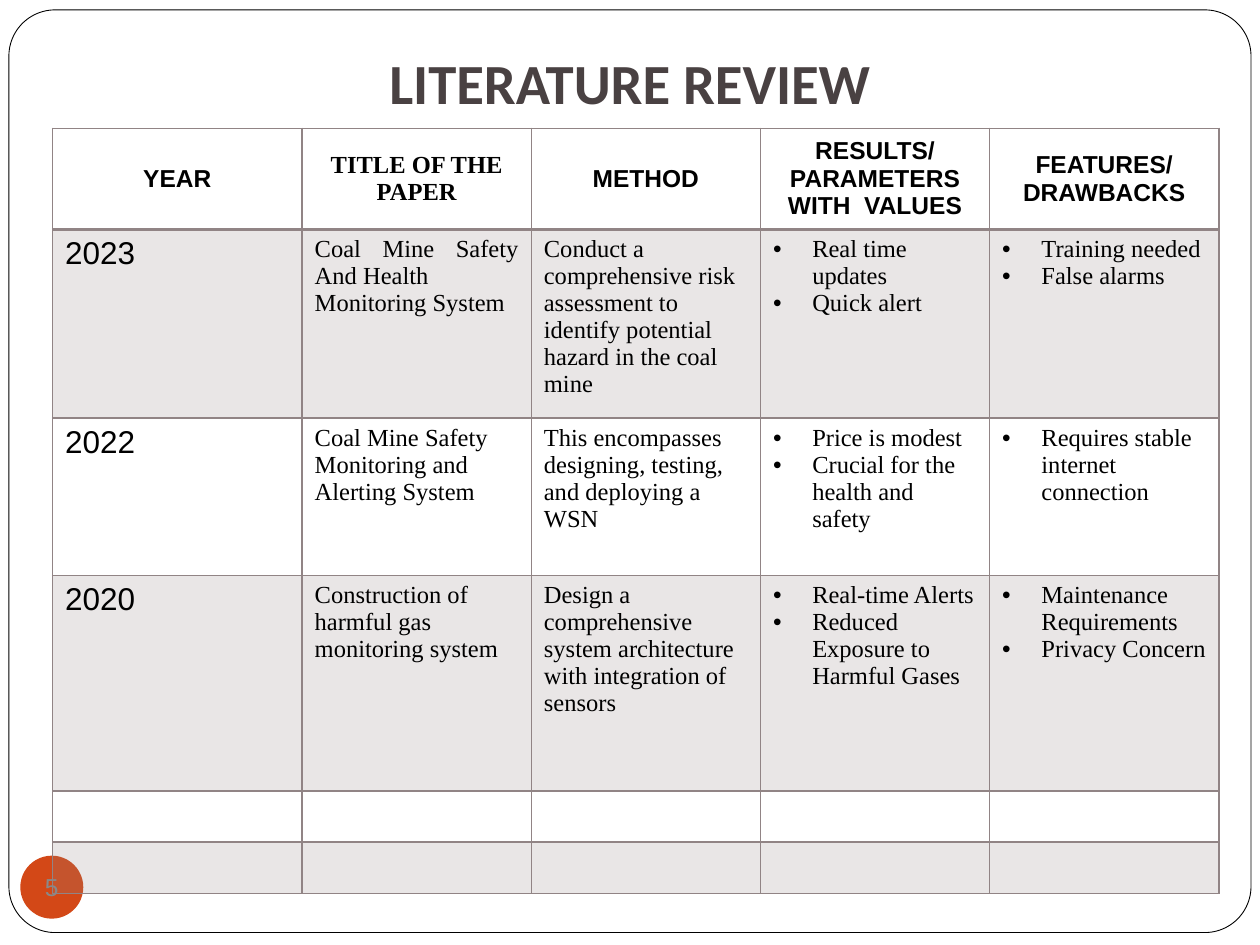
"""Build the literature review slide with its table of papers."""
from lxml import etree
from pptx import Presentation
from pptx import util as u
from pptx.dml.color import RGBColor
from pptx.enum import shapes, text
from pptx.oxml import ns

COLORS = {"white": "FFFFFF", "black": "000000", "title": "494142",
          "badge": "D34817", "number": "898989", "grid": "918485"}
ALIGN = text.PP_ALIGN
SERIF = "Times New Roman"


def write(paragraph, words, color, align=ALIGN.LEFT, **font_values):
    paragraph.alignment = align
    run = paragraph.add_run()
    run.text = words
    for name, value in font_values.items():
        setattr(run.font, name, value)
    run.font.color.rgb = RGBColor.from_string(COLORS[color])


def add_xml(parent, tag, **attributes):
    return etree.SubElement(parent, ns.qn(tag), attributes)


prs = Presentation()
prs.slide_width, prs.slide_height = u.Cm(25.4), u.Cm(19.05)
slide = prs.slides.add_slide(prs.slide_layouts[5])

frame = slide.shapes.add_shape(shapes.MSO_SHAPE.ROUNDED_RECTANGLE,
                               u.Cm(0.18), u.Cm(0.2), u.Cm(25.04), u.Cm(18.6))
frame.adjustments[0] = 0.05
frame.shadow.inherit = False
frame.fill.solid()
frame.fill.fore_color.rgb = RGBColor.from_string(COLORS["white"])
frame.line.color.rgb = RGBColor.from_string(COLORS["black"])
frame.line.width = u.Pt(0.5)

title = slide.shapes.title
title.element.addprevious(frame.element)
title_place = {"left": u.Cm(1.27), "top": u.Cm(0.76), "width": u.Cm(22.86), "height": u.Cm(1.83)}
for name, value in title_place.items():
    setattr(title, name, value)
title_format = {"vertical_anchor": text.MSO_ANCHOR.BOTTOM, "margin_bottom": u.Cm(0.25),
                "auto_size": text.MSO_AUTO_SIZE.NONE, "word_wrap": True}
for name, value in title_format.items():
    setattr(title.text_frame, name, value)
write(title.text_frame.paragraphs[0], "LITERATURE REVIEW", "title", ALIGN.CENTER,
      name="Calibri", size=u.Pt(32.4), bold=True)

badge = slide.shapes.add_shape(shapes.MSO_SHAPE.OVAL,
                               u.Cm(0.41), u.Cm(17.25), u.Cm(1.27), u.Cm(1.27))
badge.shadow.inherit = False
badge.fill.solid()
badge.fill.fore_color.rgb = RGBColor.from_string(COLORS["badge"])
badge.line.fill.background()
badge_format = {"margin_left": 0, "margin_top": 0, "margin_right": 0, "margin_bottom": 0,
                "vertical_anchor": text.MSO_ANCHOR.MIDDLE, "word_wrap": False}
for name, value in badge_format.items():
    setattr(badge.text_frame, name, value)
write(badge.text_frame.paragraphs[0], "5", "number", ALIGN.CENTER, name="Arial", size=u.Pt(14))

headings = ["YEAR", "TITLE OF THE PAPER", "METHOD",
            "RESULTS/ PARAMETERS WITH  VALUES", "FEATURES/ DRAWBACKS"]
papers = [
    [["2023"], ["Coal Mine Safety And Health", "Monitoring System"],
     ["Conduct a comprehensive risk assessment to identify potential hazard in the coal mine"],
     ["Real time updates", "Quick alert"], ["Training needed", "False alarms"]],
    [["2022"], ["Coal Mine Safety Monitoring and Alerting System"],
     ["This encompasses designing, testing, and deploying a WSN"],
     ["Price is modest", "Crucial for the health and safety"],
     ["Requires stable internet connection"]],
    [["2020"], ["Construction of harmful gas monitoring system"],
     ["Design a comprehensive system architecture with integration of sensors"],
     ["Real-time Alerts", "Reduced Exposure to Harmful Gases"],
     ["Maintenance Requirements", "Privacy Concern"]],
]
column_widths = [5.03] + [4.62] * 4
row_heights = [2.03, 3.81, 3.17, 4.35, 1.02, 1.02]

review = slide.shapes.add_table(len(row_heights), len(column_widths), u.Cm(1.06), u.Cm(2.59),
                                u.Cm(sum(column_widths)), u.Cm(sum(row_heights))).table
review.first_row = review.horz_banding = False
for column, width in zip(review.columns, column_widths):
    column.width = u.Cm(width)
for row, height in zip(review.rows, row_heights):
    row.height = u.Cm(height)

for r in range(len(row_heights)):
    for c in range(len(column_widths)):
        cell = review.cell(r, c)
        properties = cell._tc.get_or_add_tcPr()
        for side in "LRTB":
            heavy = (r, side) in [(0, "B"), (1, "T")]
            border = add_xml(properties, f"a:ln{side}", w=str(u.Pt(2 if heavy else 1)))
            add_xml(add_xml(border, "a:solidFill"), "a:srgbClr", val=COLORS["grid"])
        if r % 2:
            cell.fill.solid()
            cell.fill.fore_color.rgb = RGBColor.from_string(COLORS["grid"])
            tint = properties.find(ns.qn("a:solidFill")).find(ns.qn("a:srgbClr"))
            add_xml(tint, "a:alpha", val="20000")
        else:
            cell.fill.background()

for c, heading in enumerate(headings):
    cell = review.cell(0, c)
    cell.vertical_anchor = text.MSO_ANCHOR.MIDDLE
    write(cell.text_frame.paragraphs[0], heading, "black", ALIGN.CENTER,
          name=SERIF if c == 1 else "Arial", size=u.Pt(14), bold=True)

for r, paper in enumerate(papers, 1):
    for c, entries in enumerate(paper):
        body = review.cell(r, c).text_frame
        for i, entry in enumerate(entries):
            paragraph = body.add_paragraph() if i else body.paragraphs[0]
            write(paragraph, entry, "black", ALIGN.JUSTIFY if (r, c) == (1, 1) else ALIGN.LEFT,
                  name=SERIF if c else "Arial", size=u.Pt(14 if c else 18))
            if c >= 3:
                bullet = paragraph._p.get_or_add_pPr()
                bullet.set("marL", str(u.Cm(0.79)))
                bullet.set("indent", str(-u.Cm(0.79)))
                add_xml(bullet, "a:buFont", typeface="Arial")
                add_xml(bullet, "a:buChar", char="•")

prs.save("out.pptx")
